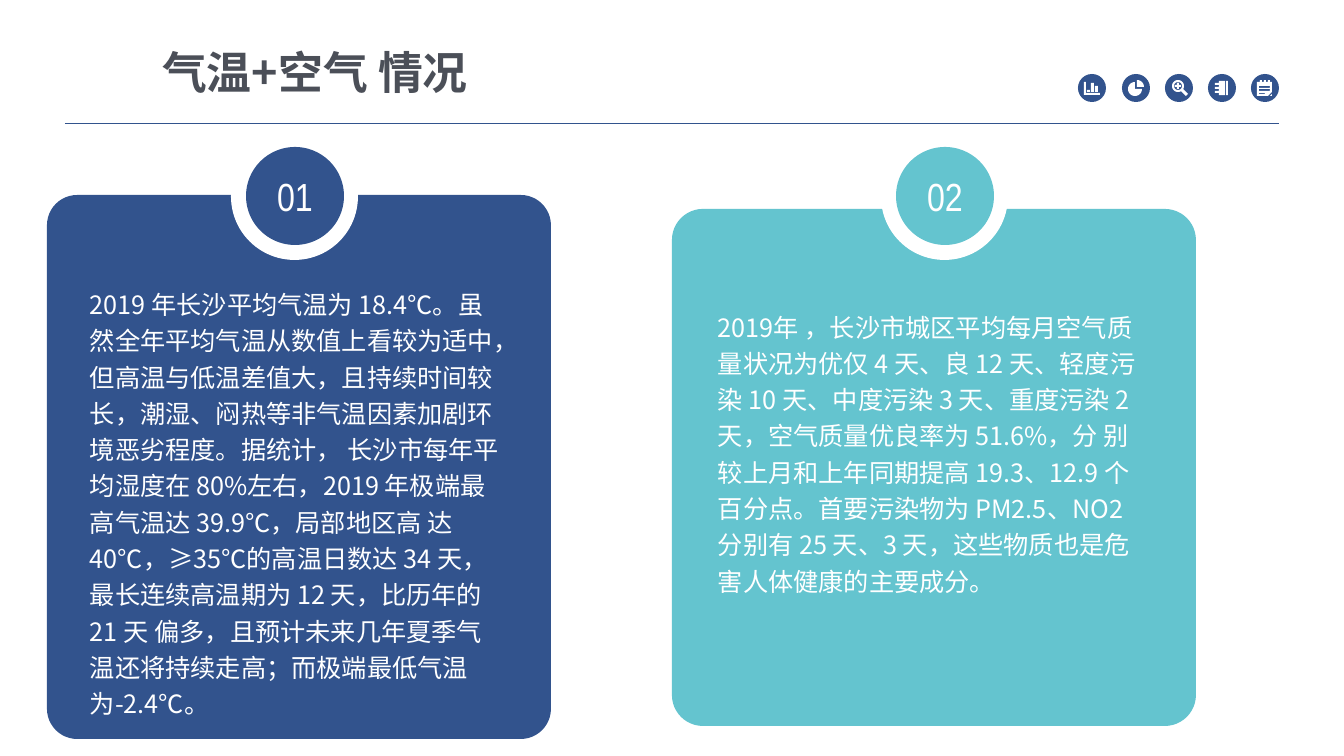
"""Build the slide on temperature and air quality, with two numbered cards."""
from dataclasses import dataclass
from math import cos, radians, sin

from lxml.etree import SubElement
from pptx import Presentation
from pptx.dml.color import RGBColor
from pptx.enum.shapes import MSO_CONNECTOR, MSO_SHAPE
from pptx.enum.text import MSO_ANCHOR, MSO_AUTO_SIZE, PP_ALIGN
from pptx.oxml.ns import qn
from pptx.util import Pt


@dataclass(frozen=True)
class Theme:
    blue: str = "32538D"
    teal: str = "64C4CF"
    white: str = "FFFFFF"
    title_color: str = "4B4F58"
    text_font: str = "Noto Sans CJK SC"
    number_font: str = "Arial Narrow"
    title_size: int = 32
    number_size: int = 28
    body_size: int = 18


theme = Theme()
PX = 914400 / 100.8


def paint(shape, color):
    shape.shadow.inherit = False
    shape.fill.solid()
    shape.fill.fore_color.rgb = RGBColor.from_string(color)
    shape.line.fill.background()


def write(shape, text, font_name, size, color, align=PP_ALIGN.LEFT, bold=False):
    frame = shape.text_frame
    frame.word_wrap = True
    frame.auto_size = MSO_AUTO_SIZE.NONE
    paragraph = frame.paragraphs[0]
    paragraph.text = text
    paragraph.alignment = align
    font = paragraph.font
    font.name = font_name
    font.size = Pt(size)
    font.bold = bold
    font.color.rgb = RGBColor.from_string(color)
    properties = paragraph._p.pPr.find(qn("a:defRPr"))
    SubElement(properties, qn("a:ea")).set("typeface", font_name)
    return paragraph


presentation = Presentation()
presentation.slide_width = round(1344 * PX)
presentation.slide_height = round(756 * PX)
slide = presentation.slides.add_slide(presentation.slide_layouts[5])
shapes = slide.shapes

title = shapes.title
title.left, title.top, title.width, title.height = [round(n * PX) for n in (152, 40, 480, 65)]
write(title, "气温+空气 情况", theme.text_font, theme.title_size, theme.title_color, bold=True)
title.text_frame.vertical_anchor = MSO_ANCHOR.TOP

rule = shapes.add_connector(
    MSO_CONNECTOR.STRAIGHT, *[round(n * PX) for n in (65, 123, 1279, 123)])
rule.line.color.rgb = RGBColor.from_string(theme.blue)
rule.line.width = Pt(0.5)
SubElement(rule._element.spPr, qn("a:effectLst"))

arcs = [
    [(x + radius * cos(radians(angle)), y + radius * sin(radians(angle)))
     for angle in range(start, end + 1, 10)]
    for x, y, radius, start, end in (
        (15, 13, 7, -90, 0), (13, 15, 7, 0, 270), (13, 12, 6, 0, 350), (13, 12, 4, 0, 350))
]
small_wedge, large_wedge, lens_rim, lens_hole = arcs
plus = [(12, 9), (14, 9), (14, 11), (16, 11), (16, 13), (14, 13),
        (14, 15), (12, 15), (12, 13), (10, 13), (10, 11), (12, 11)]

# Two points stand for opposite corners of a rectangle.
bar_chart = [[(6, 8), (8, 8), (8, 19), (22, 19), (22, 21), (6, 21)],
             [(9, 16), (12, 18)], [(13, 9), (16, 18)], [(17, 12), (20, 18)]]
pie_chart = [[(15, 13)] + small_wedge, [(13, 15)] + large_wedge]
magnifier = [lens_rim, lens_hole, plus, [(16, 17), (18, 15), (23, 20), (21, 22)]]
binder = [[(11, 7), (17, 21)], [(18, 7), (20, 21)]]
binder += [[(7, y), (11, y + 2)] for y in (9, 13, 17)]
calendar = [[(6, 8), (21, 8), (21, 18), (17, 22), (6, 22)],
            [(8, 12), (19, 14)], [(8, 15), (19, 17)], [(8, 19), (14, 20)],
            [(19, 22), (21, 20), (21, 22)]]
calendar += [[(x, 6), (x + 2, 8)] for x in (9, 13, 17)]

for index, contours in enumerate((bar_chart, pie_chart, magnifier, binder, calendar)):
    left, top = 1078 + (173 * index + 3) // 4, 74
    disc = shapes.add_shape(
        MSO_SHAPE.OVAL, *[round(n * PX) for n in (left, top, 28, 28)])
    paint(disc, theme.blue)
    builder = None
    for contour in contours:
        if len(contour) == 2:
            (x1, y1), (x2, y2) = contour
            contour = [(x1, y1), (x2, y1), (x2, y2), (x1, y2)]
        points = [(round((left + x) * PX), round((top + y) * PX)) for x, y in contour]
        if builder is None:
            builder = shapes.build_freeform(*points[0])
        else:
            builder.move_to(*points[0])
        builder.add_line_segments(points[1:], close=True)
    paint(builder.convert_to_shape(), theme.white)

cards = [
    ("01", theme.blue, (47, 195, 504, 544), 231, (90, 283, 409, 436),
     "2019 年长沙平均气温为 18.4℃。虽然全年平均气温从数值上看较为适中，但高温与低温差值大，"
     "且持续时间较长，潮湿、闷热等非气温因素加剧环境恶劣程度。据统计， 长沙市每年平均湿度在 "
     "80%左右，2019 年极端最高气温达 39.9℃，局部地区高 达 40℃，≥35℃的高温日数达 34 天，"
     "最长连续高温期为 12 天，比历年的 21 天 偏多，且预计未来几年夏季气温还将持续走高；"
     "而极端最低气温为-2.4℃。"),
    ("02", theme.teal, (672, 209, 524, 517), 881, (718, 306, 433, 290),
     "2019年 ，长沙市城区平均每月空气质量状况为优仅 4 天、良 12 天、轻度污染 10 天、"
     "中度污染 3 天、重度污染 2 天，空气质量优良率为 51.6%，分 别较上月和上年同期提高 "
     "19.3、12.9 个百分点。首要污染物为 PM2.5、NO2 分别有 25 天、3 天，"
     "这些物质也是危害人体健康的主要成分。"),
]
for number, color, card_box, ring_left, text_box, text in cards:
    card = shapes.add_shape(
        MSO_SHAPE.ROUNDED_RECTANGLE, *[round(n * PX) for n in card_box])
    card.adjustments[0] = 0.06
    paint(card, color)

    ring = shapes.add_shape(
        MSO_SHAPE.OVAL, *[round(n * PX) for n in (ring_left, 133, 127, 127)])
    paint(ring, theme.white)
    badge = shapes.add_shape(
        MSO_SHAPE.OVAL, *[round(n * PX) for n in (ring_left + 15, 147, 98, 98)])
    paint(badge, color)
    write(badge, number, theme.number_font, theme.number_size, theme.white, PP_ALIGN.CENTER)
    badge.text_frame.vertical_anchor = MSO_ANCHOR.MIDDLE

    body = shapes.add_textbox(*[round(n * PX) for n in text_box])
    paragraph = write(body, text, theme.text_font, theme.body_size, theme.white)
    paragraph.line_spacing = 1.2
    frame = body.text_frame
    frame.vertical_anchor = MSO_ANCHOR.MIDDLE
    frame.margin_left = frame.margin_top = frame.margin_right = frame.margin_bottom = 0

presentation.save("out.pptx")
